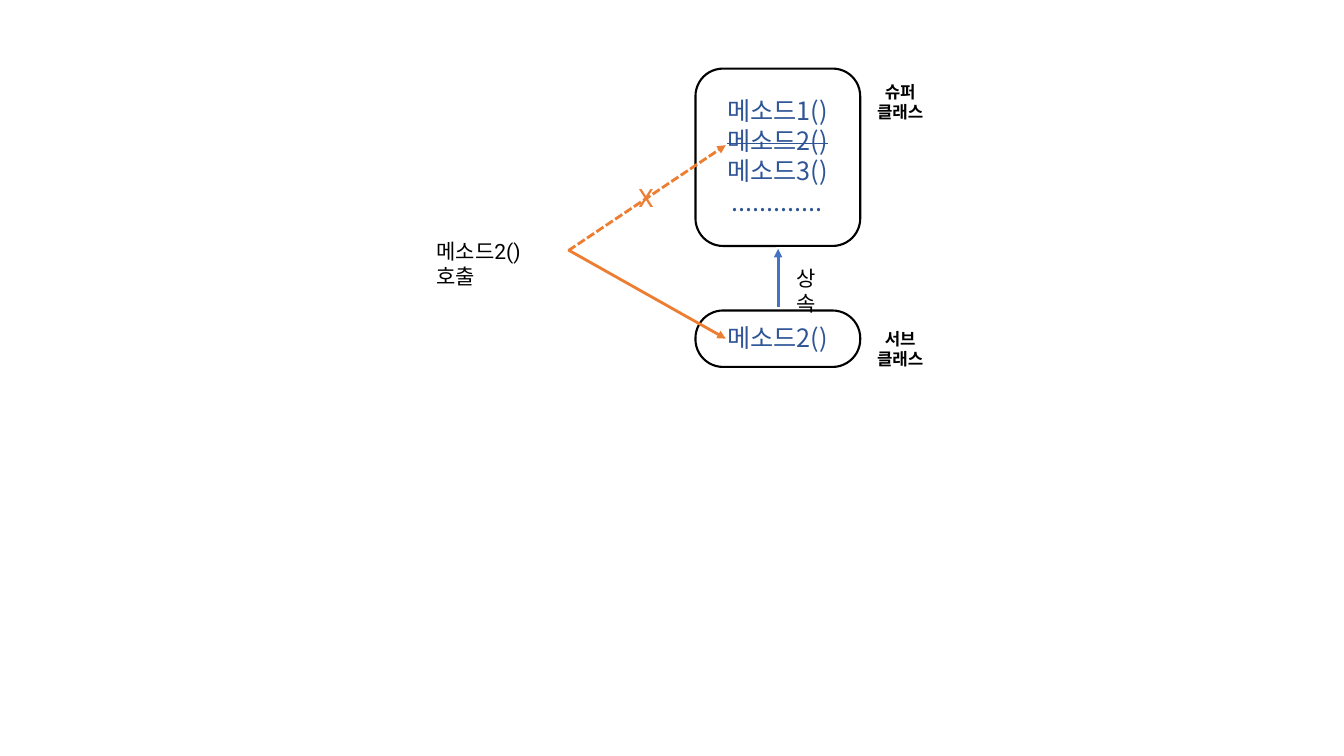
"""Draw a slide on method overriding between a superclass and a subclass."""
from dataclasses import dataclass

import pptx
import pptx.dml.color
import pptx.enum.dml
import pptx.enum.shapes
import pptx.enum.text
import pptx.oxml.ns
import pptx.util
from lxml import etree

Pt = pptx.util.Pt
RGBColor = pptx.dml.color.RGBColor
PP_ALIGN = pptx.enum.text.PP_ALIGN
MSO_ANCHOR = pptx.enum.text.MSO_ANCHOR
qn = pptx.oxml.ns.qn

BLACK = RGBColor(0x00, 0x00, 0x00)
NAVY = RGBColor(0x2F, 0x55, 0x97)
BLUE = RGBColor(0x44, 0x72, 0xC4)
ORANGE = RGBColor(0xED, 0x7D, 0x31)
SANS = "Noto Sans CJK KR"
ROBOTO = "Roboto"
INSET = 3.6


@dataclass
class ClassBox:
    top: float
    height: float
    adj: float
    text_top: float
    text_height: float
    methods: list[str]
    label: str
    label_top: float
    struck: int = -1


@dataclass
class Arrow:
    start: tuple[float, float]
    end: tuple[float, float]
    color: RGBColor
    dashed: bool = False


CLASSES = [
    ClassBox(49, 126.7, 0.167, 62, 98.6,
             ["메소드1()", "메소드2()", "메소드3()", "............."], "슈퍼 클래스", 54.7, struck=1),
    ClassBox(221.8, 40.3, 0.49, 226, 30.2, ["메소드2()"], "서브 클래스", 231.1),
]
ARROWS = [
    Arrow((555.8, 219.6), (555.8, 177.8), BLUE),
    Arrow((406, 179), (518.4, 103.7), ORANGE, dashed=True),
    Arrow((406, 178.6), (518.4, 241.9), ORANGE),
]


def add_text(s, lines: list[str], left: float, top: float, width: float, height: float, *,
             size: float, font: str = ROBOTO, color: RGBColor = BLACK, bold: bool = False,
             align=PP_ALIGN.LEFT, anchor=MSO_ANCHOR.TOP, right_inset: float = INSET,
             struck: int = -1) -> None:
    sp = s.shapes.add_textbox(Pt(left), Pt(top), Pt(width), Pt(height))
    tf = sp.text_frame
    tf.word_wrap = True
    tf.vertical_anchor = anchor
    tf.margin_left = tf.margin_top = tf.margin_bottom = Pt(INSET)
    tf.margin_right = Pt(right_inset)
    for i, line in enumerate(lines):
        p = tf.paragraphs[0] if i == 0 else tf.add_paragraph()
        p.alignment = align
        r = p.add_run()
        r.text = line
        r.font.size, r.font.bold, r.font.name = Pt(size), bold, font
        r.font.color.rgb = color
        rPr = r._r.get_or_add_rPr()
        etree.SubElement(rPr, qn("a:ea"), typeface=font)
        if i == struck:
            rPr.set("strike", "sngStrike")


def add_class(s, box: ClassBox) -> None:
    sp = s.shapes.add_shape(pptx.enum.shapes.MSO_SHAPE.ROUNDED_RECTANGLE,
                            Pt(496.8), Pt(box.top), Pt(117.7), Pt(box.height))
    sp.adjustments[0] = box.adj
    sp.shadow.inherit = False
    sp.fill.background()
    sp.line.color.rgb = BLACK
    sp.line.width = Pt(1.5)
    add_text(s, box.methods, 496.8, box.text_top, 117, box.text_height, size=18, font=SANS,
             color=NAVY, align=PP_ALIGN.CENTER, anchor=MSO_ANCHOR.MIDDLE, struck=box.struck)
    add_text(s, [box.label], 622, box.label_top, 63.4, 22.3, size=12, font=SANS, bold=True,
             align=PP_ALIGN.CENTER, right_inset=25)


def add_arrow(s, arrow: Arrow) -> None:
    sp = s.shapes.add_connector(pptx.enum.shapes.MSO_CONNECTOR.STRAIGHT,
                                *map(Pt, arrow.start + arrow.end))
    sp.line.color.rgb = arrow.color
    sp.line.width = Pt(2)
    if arrow.dashed:
        sp.line.dash_style = pptx.enum.dml.MSO_LINE.SQUARE_DOT
    ln = sp._element.spPr.find(qn("a:ln"))
    etree.SubElement(ln, qn("a:tailEnd"), type="triangle")
    etree.SubElement(sp._element.spPr, qn("a:effectLst"))


def main() -> None:
    prs = pptx.Presentation()
    prs.slide_width, prs.slide_height = Pt(960), Pt(540)
    s = prs.slides.add_slide(prs.slide_layouts[6])
    for box in CLASSES:
        add_class(s, box)
    add_text(s, ["메소드2() 호출"], 308.2, 167, 95.8, 26, size=15)
    add_text(s, ["상속"], 565.2, 185.8, 33.8, 26, size=15)
    for arrow in ARROWS:
        add_arrow(s, arrow)
    add_text(s, ["X"], 452.2, 126.7, 20.2, 29.5, size=18, color=ORANGE)
    prs.save("out.pptx")


if __name__ == "__main__":
    main()
